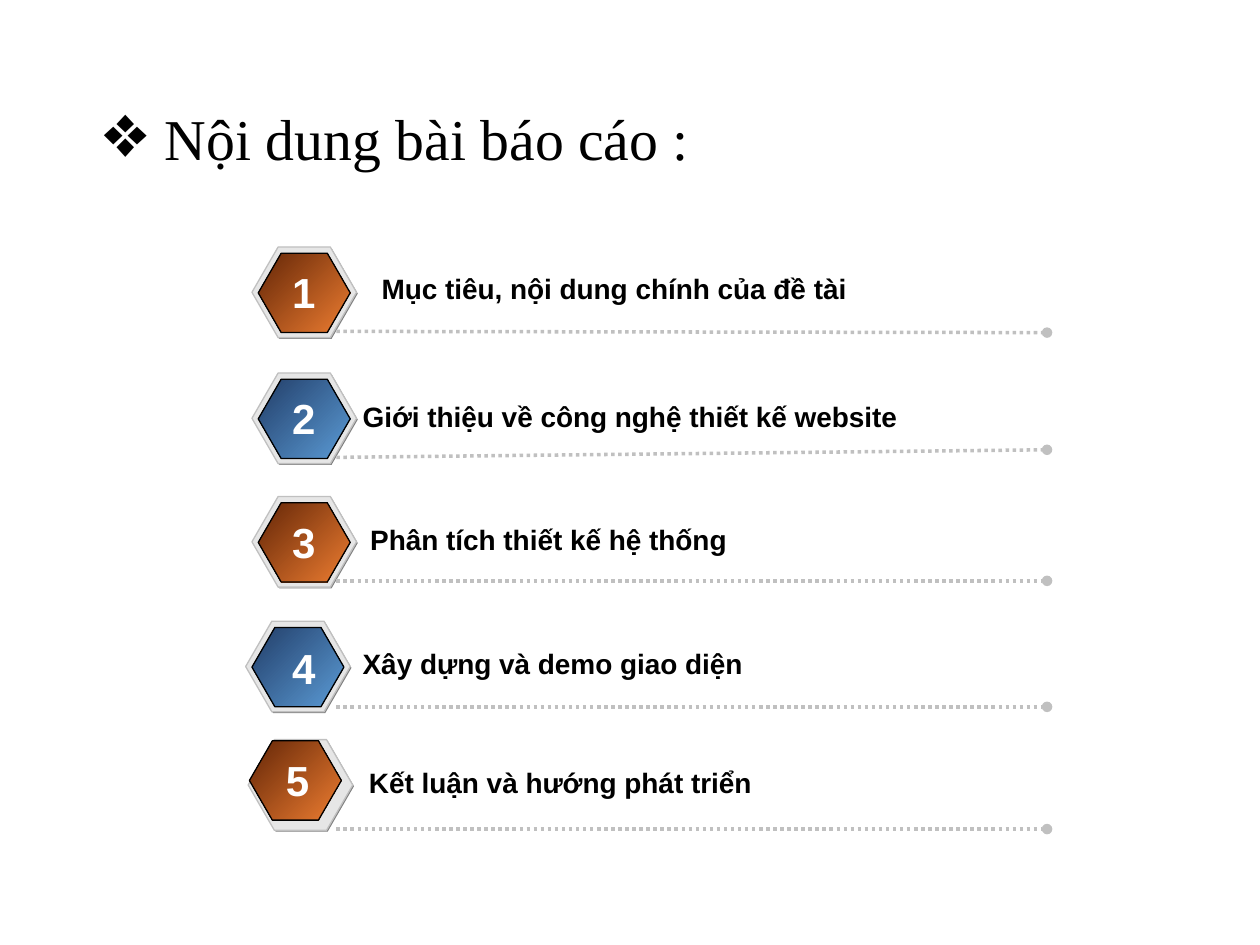
from pptx import Presentation
from pptx.dml.color import RGBColor
from pptx.enum.dml import MSO_LINE
from pptx.enum.shapes import MSO_CONNECTOR, MSO_SHAPE
from pptx.enum.text import MSO_ANCHOR, PP_ALIGN
from pptx.oxml.ns import qn
from pptx.util import Inches, Pt
from lxml.etree import SubElement

BLACK = RGBColor(0x00, 0x00, 0x00)
WHITE = RGBColor(0xFF, 0xFF, 0xFF)
SHADE = RGBColor(0x80, 0x80, 0x80)
RIM = RGBColor(0xE6, 0xE6, 0xE6)
SILVER = RGBColor(0xC0, 0xC0, 0xC0)
ORANGE = (RGBColor(0x64, 0x26, 0x07), RGBColor(0xED, 0x7D, 0x31))
BLUE = (RGBColor(0x22, 0x3E, 0x69), RGBColor(0x5B, 0x9B, 0xD5))

prs = Presentation()
prs.slide_width, prs.slide_height = Inches(10), Inches(7.5)
slide = prs.slides.add_slide(prs.slide_layouts[6])


def add_hexagon(left, top, width, height, outline=None):
    hexagon = slide.shapes.add_shape(
        MSO_SHAPE.HEXAGON, Inches(left), Inches(top), Inches(width), Inches(height))
    hexagon.adjustments[0] = 0.289
    hexagon.shadow.inherit = False
    if outline is None:
        hexagon.line.fill.background()
    else:
        hexagon.line.color.rgb = outline
        hexagon.line.width = Pt(0.75)
    return hexagon


def add_text(text, left, top, width, height, size, color, font="Arial", bold=True):
    """Add a wrapping one-paragraph text box; return its frame and paragraph."""
    frame = slide.shapes.add_textbox(
        Inches(left), Inches(top), Inches(width), Inches(height)).text_frame
    frame.word_wrap = True
    paragraph = frame.paragraphs[0]
    paragraph.text = text
    paragraph.font.name = font
    paragraph.font.size = Pt(size)
    paragraph.font.bold = bold
    paragraph.font.color.rgb = color
    return frame, paragraph


# Heading with a diamond bullet
heading_frame, heading = add_text(
    "Nội dung bài báo cáo :", 0.69, 0.4, 8.63, 1.45, 33, BLACK, "Times New Roman", False)
heading_frame.vertical_anchor = MSO_ANCHOR.MIDDLE
heading.line_spacing = 0.9
heading_props = heading._p.get_or_add_pPr()
heading_props.set("marL", str(Inches(0.52)))
heading_props.set("indent", str(-Inches(0.48)))
bullet_size = heading_props.makeelement(qn("a:buSzPct"), {"val": "130000"})
bullet = heading_props.makeelement(qn("a:buChar"), {"char": "❖"})
heading_props.find(qn("a:lnSpc")).addnext(bullet_size)
bullet_size.addnext(bullet)

# Agenda: title, its left, top and width, badge left and top,
# offset of the badge face, number left and top, rule start and end heights
agenda = [
    ("Mục tiêu, nội dung chính của đề tài", 2.93, 2.11, 4.0,
     2.0, 1.96, 0.05, 2.22, 2.07, 2.63, 2.64),
    ("Giới thiệu về công nghệ thiết kế website", 2.78, 3.12, 4.55,
     2.0, 2.96, 0.05, 2.22, 3.07, 3.63, 3.57),
    ("Phân tích thiết kế hệ thống", 2.84, 4.1, 3.2,
     2.0, 3.94, 0.05, 2.22, 4.05, 4.61, 4.61),
    ("Xây dựng và demo giao diện", 2.78, 5.08, 3.35,
     1.95, 4.93, 0.05, 2.22, 5.05, 5.61, 5.61),
    ("Kết luận và hướng phát triển", 2.83, 6.03, 3.35,
     1.97, 5.87, 0.01, 2.17, 5.94, 6.58, 6.58),
]

for number, (topic, topic_left, topic_top, topic_width, badge_left, badge_top,
             inset, number_left, number_top, rule_start, rule_end) in enumerate(agenda, 1):
    shade = add_hexagon(badge_left + 0.01, badge_top + 0.01, 0.83, 0.72)
    shade.fill.solid()
    shade.fill.fore_color.rgb = SHADE

    rim = add_hexagon(badge_left, badge_top, 0.83, 0.72, SILVER)
    rim.fill.solid()
    rim.fill.fore_color.rgb = RIM

    face = add_hexagon(badge_left + inset, badge_top + inset, 0.73, 0.63, BLACK)
    face.fill.gradient()
    face.fill.gradient_angle = 315
    for stop, color in zip(face.fill.gradient_stops, ORANGE if number % 2 else BLUE):
        stop.color.rgb = color

    rule = slide.shapes.add_connector(
        MSO_CONNECTOR.STRAIGHT, Inches(2.67), Inches(rule_start),
        Inches(8.31), Inches(rule_end))
    rule.line.color.rgb = SILVER
    rule.line.width = Pt(2)
    rule.line.dash_style = MSO_LINE.ROUND_DOT
    rule_props = rule._element.spPr
    SubElement(rule_props.find(qn("a:ln")), qn("a:tailEnd"), type="oval")
    SubElement(rule_props, qn("a:effectLst"))

    add_text(topic, topic_left, topic_top, topic_width, 0.37, 16, BLACK)
    _, numeral = add_text(str(number), number_left, number_top, 0.38, 0.5, 24, WHITE)
    numeral.alignment = PP_ALIGN.CENTER

prs.save("out.pptx")
